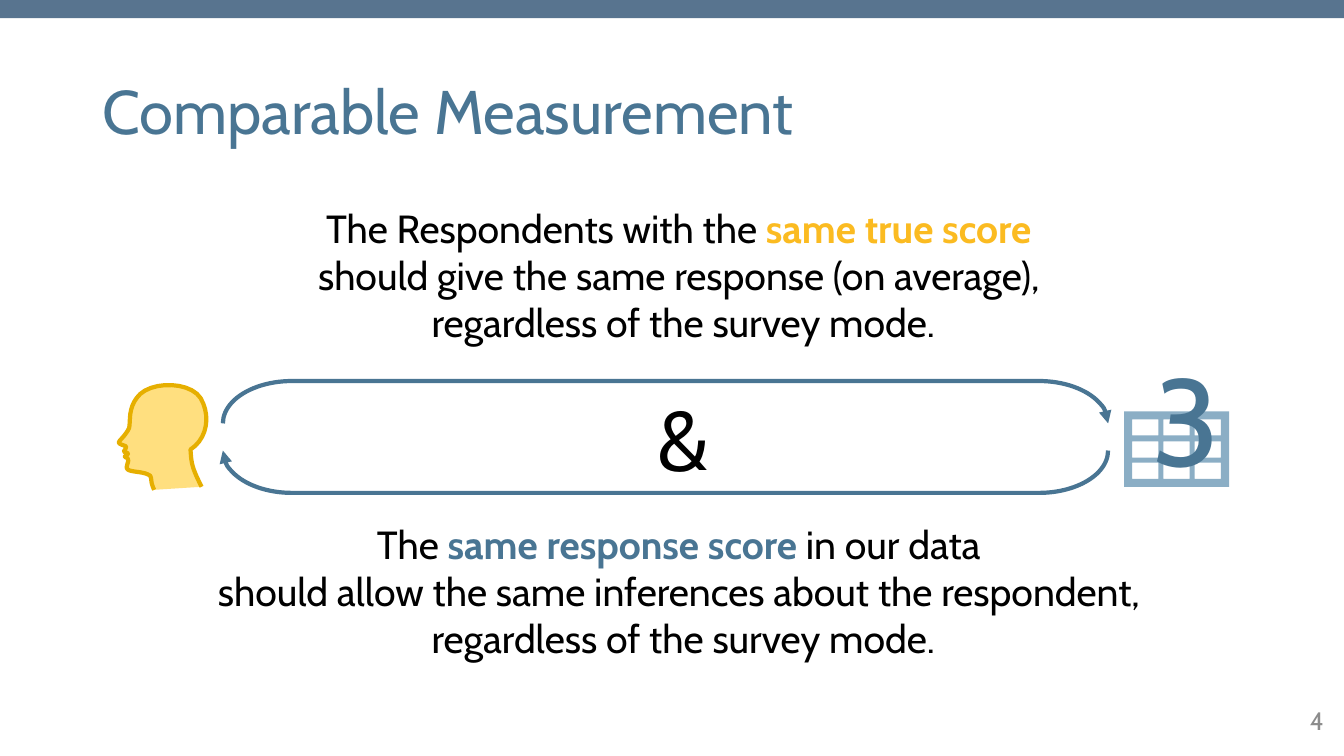
"""Build the Comparable Measurement slide."""
from dataclasses import dataclass

from lxml import etree
from pptx import Presentation
from pptx.dml.color import RGBColor
from pptx.enum.shapes import MSO_SHAPE
from pptx.enum.text import MSO_ANCHOR, PP_ALIGN
from pptx.oxml.ns import qn
from pptx.util import Emu, Pt

RECT, BRACKET = MSO_SHAPE.RECTANGLE, MSO_SHAPE.LEFT_BRACKET
TOP, MIDDLE = MSO_ANCHOR.TOP, MSO_ANCHOR.MIDDLE
LEFT, CENTER, RIGHT = PP_ALIGN.LEFT, PP_ALIGN.CENTER, PP_ALIGN.RIGHT
PX = 9144


@dataclass(frozen=True)
class Theme:
    font: str = "Cabin"
    bar: str = "58748F"
    blue: str = "497593"
    grid: str = "8BAEC5"
    gold: str = "FBBB21"
    skin: str = "FFDF7F"
    outline: str = "E6AF00"
    black: str = "000000"
    gray: str = "8C8C8C"
    title: int = 44
    body: int = 28
    ampersand: int = 60
    score: int = 88
    number: int = 18
    line: int = 3


T = Theme()


@dataclass(frozen=True)
class Run:
    text: str
    color: str = T.black
    bold: bool = False


@dataclass(frozen=True)
class Label:
    box: tuple[int, int, int, int]
    size: int
    lines: tuple[tuple[Run, ...], ...]
    align: PP_ALIGN = CENTER
    anchor: MSO_ANCHOR = TOP
    spacing: float = 1.0


@dataclass(frozen=True)
class Arrow:
    top: int
    flip: str


LABELS = (
    Label((22, 378, 1311, 111), T.ampersand, ((Run("&"),),), anchor=MIDDLE),
    Label((92, 63, 1150, 102), T.title, ((Run("Comparable Measurement", T.blue),),),
          LEFT, MIDDLE, 0.9),
    Label((22, 198, 1311, 151), T.body, (
        (Run("The Respondents with the "), Run("same true score ", T.gold, True)),
        (Run("should give the same response (on average), "),),
        (Run("regardless of the survey mode."),))),
    Label((1133, 336, 87, 158), T.score, ((Run("3", T.blue),),), LEFT),
    Label((22, 511, 1311, 151), T.body, (
        (Run("The "), Run("same response score ", T.blue, True), Run("in our data ")),
        (Run("should allow the same inferences about the respondent, "),),
        (Run("regardless of the survey mode."),))),
    Label((942, 695, 381, 40), T.number, ((Run("4", T.gray),),), RIGHT, MIDDLE),
)
ARROWS = (Arrow(-40, "flipH"), Arrow(29, "flipV"))
HEAD_START = (200, 483)
HEAD_CURVES = (
    (190, 463, 190, 460, 189, 446), (206, 435, 209, 412, 199, 395),
    (189, 379, 153, 378, 139, 391), (126, 404, 130, 418, 128, 425),
    (124, 433, 118, 437, 118, 439), (118, 441, 124, 442, 125, 443),
    (125, 446, 123, 447, 123, 448), (124, 449, 126, 449, 127, 450),
    (127, 451, 124, 452, 124, 453), (124, 454, 127, 454, 127, 456),
    (128, 458, 125, 462, 126, 465), (128, 469, 142, 467, 149, 472),
    (151, 476, 149, 478, 153, 486),
)
CURVE_STEPS = 10
GRID_BOX = (1115, 408, 104, 75)
CELL_COLUMNS, CELL_ROWS = (1123, 1154, 1185), (416, 438, 459)
CELL_W, CELL_H = 26, 16


def rgb(color: str) -> RGBColor:
    """Turn a hex string into a colour."""
    return RGBColor.from_string(color)


def emu(*values: float) -> tuple[Emu, ...]:
    """Turn px lengths into EMU."""
    return tuple(Emu(round(v * PX)) for v in values)


def paint(sp, fill: str | None = None, line: str | None = None) -> None:
    """Set the fill and line of a shape and drop its shadow."""
    sp.shadow.inherit = False
    if fill:
        sp.fill.solid()
        sp.fill.fore_color.rgb = rgb(fill)
    else:
        sp.fill.background()
    if line:
        sp.line.color.rgb = rgb(line)
        sp.line.width = Pt(T.line)
    else:
        sp.line.fill.background()


def draw_label(s, label: Label) -> None:
    """Add a text box with formatted runs."""
    tf = s.shapes.add_textbox(*emu(*label.box)).text_frame
    tf.word_wrap = True
    tf.vertical_anchor = label.anchor
    for i, line in enumerate(label.lines):
        p = tf.add_paragraph() if i else tf.paragraphs[0]
        p.alignment = label.align
        p.line_spacing = label.spacing
        for run in line:
            r = p.add_run()
            r.text = run.text
            formats = {"name": T.font, "size": Pt(label.size), "bold": run.bold}
            for key, value in formats.items():
                setattr(r.font, key, value)
            r.font.color.rgb = rgb(run.color)


def draw_arrow(s, arrow: Arrow) -> None:
    """Add a turned bracket with an arrowhead at its start."""
    sp = s.shapes.add_shape(BRACKET, *emu(639, arrow.top, 42, 878))
    sp.adjustments[0] = 1.633
    sp.rotation = 270
    sp._element.spPr.xfrm.set(arrow.flip, "1")
    paint(sp, line=T.blue)
    etree.SubElement(sp.line._get_or_add_ln(), qn("a:headEnd"), type="triangle")


def draw_head(s) -> None:
    """Add the profile of a head as a smooth open outline."""
    points, (x, y) = [], HEAD_START
    for x1, y1, x2, y2, x3, y3 in HEAD_CURVES:
        for step in range(1, CURVE_STEPS + 1):
            t = step / CURVE_STEPS
            weights = ((1 - t) ** 3, 3 * t * (1 - t) ** 2, 3 * t * t * (1 - t), t ** 3)
            points.append(emu(sum(w * v for w, v in zip(weights, (x, x1, x2, x3))),
                              sum(w * v for w, v in zip(weights, (y, y1, y2, y3)))))
        x, y = x3, y3
    builder = s.shapes.build_freeform(*emu(*HEAD_START))
    builder.add_line_segments(points, close=False)
    paint(builder.convert_to_shape(), T.skin, T.outline)


def draw_grid(s) -> None:
    """Add the data table icon as a frame with nine openings."""
    x, y, w, h = GRID_BOX
    builder = s.shapes.build_freeform(*emu(x, y))
    builder.add_line_segments([emu(x, y + h), emu(x + w, y + h), emu(x + w, y)])
    for top in CELL_ROWS:
        for left in CELL_COLUMNS:
            right, bottom = left + CELL_W, top + CELL_H
            builder.move_to(*emu(left, top))
            builder.add_line_segments(
                [emu(right, top), emu(right, bottom), emu(left, bottom)])
    paint(builder.convert_to_shape(), T.grid)


def main() -> None:
    """Build and save the slide."""
    prs = Presentation()
    prs.slide_width, prs.slide_height = emu(1333, 750)
    s = prs.slides.add_slide(prs.slide_layouts[6])
    paint(s.shapes.add_shape(RECT, *emu(0, 0, 1333, 18)), T.bar)
    draw_head(s)
    for arrow in ARROWS:
        draw_arrow(s, arrow)
    draw_grid(s)
    for label in LABELS:
        draw_label(s, label)
    prs.save("out.pptx")


if __name__ == "__main__":
    main()
